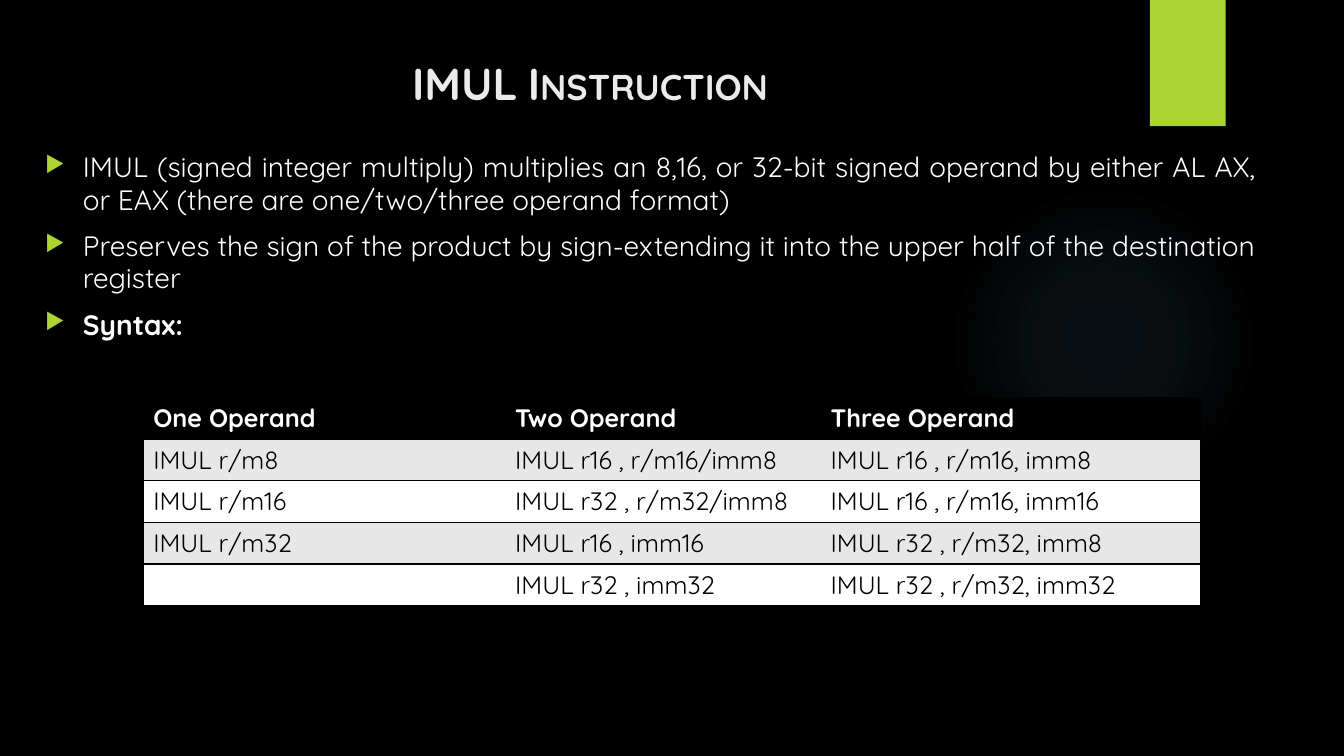
from dataclasses import dataclass

from lxml.etree import SubElement
from pptx import Presentation
from pptx.dml.color import RGBColor
from pptx.enum.shapes import MSO_SHAPE
from pptx.enum.text import MSO_ANCHOR, PP_ALIGN
from pptx.oxml import parse_xml
from pptx.oxml.ns import nsdecls, qn
from pptx.util import Cm, Pt


@dataclass(frozen=True)
class Theme:
    """Colours, font and type sizes of the slide."""

    font: str = "Quicksand"
    black: str = "000000"
    white: str = "FFFFFF"
    band: str = "E7E7E7"
    heading: str = "EBEBEB"
    accent: str = "ACD433"
    glow: str = "7AC4F0"
    title_size: int = 32
    body_size: int = 20
    table_size: int = 18


THEME = Theme()
POINTS = [
    ("IMUL (signed integer multiply) multiplies an 8,16, or 32-bit signed operand "
     "by either AL AX, or EAX (there are one/two/three operand format)", False),
    ("Preserves the sign of the product by sign-extending it into the upper half "
     "of the destination register", False),
    ("Syntax:", True),
]
SYNTAX = [
    ("One Operand", "Two Operand", "Three Operand"),
    ("IMUL r/m8", "IMUL r16 , r/m16/imm8", "IMUL r16 , r/m16, imm8"),
    ("IMUL r/m16", "IMUL r32 , r/m32/imm8", "IMUL r16 , r/m16, imm16"),
    ("IMUL r/m32", "IMUL r16 , imm16", "IMUL r32 , r/m32, imm8"),
    ("", "IMUL r32 , imm32", "IMUL r32 , r/m32, imm32"),
]
COLUMN_WIDTHS = (9.12, 7.95, 9.58)
ROW_HEIGHT = 1.05


def apply_format(target, values):
    """Set every attribute named in values on the target."""
    for name, value in values.items():
        setattr(target, name, value)


def paint(fill, colour):
    """Make a fill solid in the given colour."""
    fill.solid()
    fill.fore_color.rgb = RGBColor.from_string(colour)


def add_words(paragraph, words, size, colour, bold=False):
    """Add a formatted run to a paragraph and return it."""
    run = paragraph.add_run()
    run.text = words
    apply_format(run.font, {"name": THEME.font, "size": Pt(size), "bold": bold})
    run.font.color.rgb = RGBColor.from_string(colour)
    return run


def add_frame(slide, *box):
    """Add a wrapping text box and return its text frame."""
    frame = slide.shapes.add_textbox(*map(Cm, box)).text_frame
    frame.word_wrap = True
    return frame


def add_plain_shape(slide, preset, *box):
    """Add a preset shape with neither outline nor shadow."""
    shape = slide.shapes.add_shape(preset, *map(Cm, box))
    shape.shadow.inherit = False
    shape.line.fill.background()
    return shape


def add_glow(slide):
    """Add the faint radial glow on the right."""
    glow = add_plain_shape(slide, MSO_SHAPE.OVAL, 23.9, 4.65, 7.82, 7.82)
    stops = "".join(
        f'<a:gs pos="{place * 1000}"><a:srgbClr val="{THEME.glow}">'
        f'<a:alpha val="{opacity * 1000}"/></a:srgbClr></a:gs>'
        for place, opacity in ((0, 7), (36, 6), (69, 0), (100, 0))
    )
    gradient = parse_xml(
        f'<a:gradFill {nsdecls("a")} rotWithShape="1"><a:gsLst>{stops}</a:gsLst>'
        '<a:path path="circle"><a:fillToRect l="50000" t="50000" r="50000" b="50000"/>'
        '</a:path></a:gradFill>'
    )
    glow._element.spPr.find(qn("a:prstGeom")).addnext(gradient)


def add_title(slide):
    """Add the centred heading in small capitals."""
    heading = add_frame(slide, 1.8, 1.27, 26.14, 2.24).paragraphs[0]
    heading.alignment = PP_ALIGN.CENTER
    run = add_words(heading, "IMUL Instruction", THEME.title_size, THEME.heading, True)
    run.font._element.set("cap", "small")


def add_bullet(paragraph):
    """Give a paragraph a hanging green triangle."""
    properties = paragraph._p.get_or_add_pPr()
    apply_indent = {"marL": str(Cm(0.95)), "indent": str(-Cm(0.95))}
    for name, value in apply_indent.items():
        properties.set(name, value)
    colour = SubElement(properties, qn("a:buClr"))
    SubElement(colour, qn("a:srgbClr"), val=THEME.accent)
    SubElement(properties, qn("a:buSzPct"), val="80000")
    SubElement(properties, qn("a:buChar"), char="▶")


def add_points(slide):
    """Add the justified bullet list."""
    frame = add_frame(slide, 0.89, 3.71, 31.01, 14.94)
    for index, (words, bold) in enumerate(POINTS):
        point = frame.add_paragraph() if index else frame.paragraphs[0]
        add_bullet(point)
        apply_format(point, {
            "alignment": PP_ALIGN.JUSTIFY,
            "line_spacing": 0.96,
            "space_before": Pt(10 if index else 0),
        })
        add_words(point, words, THEME.body_size, THEME.white, bold)


def add_borders(cell, visible):
    """Draw the named cell sides in black and clear the others."""
    properties = cell._tc.get_or_add_tcPr()
    for side in "LRTB":
        line = SubElement(properties, qn(f"a:ln{side}"), w=str(Pt(1)))
        if side in visible:
            solid = SubElement(line, qn("a:solidFill"))
            SubElement(solid, qn("a:srgbClr"), val=THEME.black)
        else:
            SubElement(line, qn("a:noFill"))


def add_syntax_table(slide):
    """Add the table of operand formats."""
    size = (sum(COLUMN_WIDTHS), ROW_HEIGHT * len(SYNTAX))
    table = slide.shapes.add_table(
        len(SYNTAX), len(COLUMN_WIDTHS), Cm(3.61), Cm(10.01), *map(Cm, size)
    ).table
    apply_format(table, {"first_row": False, "horz_banding": False})
    for column, width in zip(table.columns, COLUMN_WIDTHS):
        column.width = Cm(width)
    sides = ("LTB", "TB", "RTB")
    for row_index, formats in enumerate(SYNTAX):
        table.rows[row_index].height = Cm(ROW_HEIGHT)
        header = row_index == 0
        band = THEME.band if row_index % 2 else THEME.white
        for column_index, words in enumerate(formats):
            cell = table.cell(row_index, column_index)
            add_borders(cell, sides[column_index])
            paint(cell.fill, THEME.black if header else band)
            cell.vertical_anchor = MSO_ANCHOR.MIDDLE
            if words:
                colour = THEME.white if header else THEME.black
                add_words(cell.text_frame.paragraphs[0], words,
                          THEME.table_size, colour, header)


def main():
    """Build and save the slide."""
    deck = Presentation()
    apply_format(deck, {"slide_width": Cm(33.87), "slide_height": Cm(19.05)})
    slide = deck.slides.add_slide(deck.slide_layouts[6])
    paint(slide.background.fill, THEME.black)
    add_glow(slide)
    ribbon = add_plain_shape(slide, MSO_SHAPE.RECTANGLE, 28.98, 0, 1.91, 3.18)
    paint(ribbon.fill, THEME.accent)
    add_title(slide)
    add_points(slide)
    add_syntax_table(slide)
    deck.save("out.pptx")


if __name__ == "__main__":
    main()
